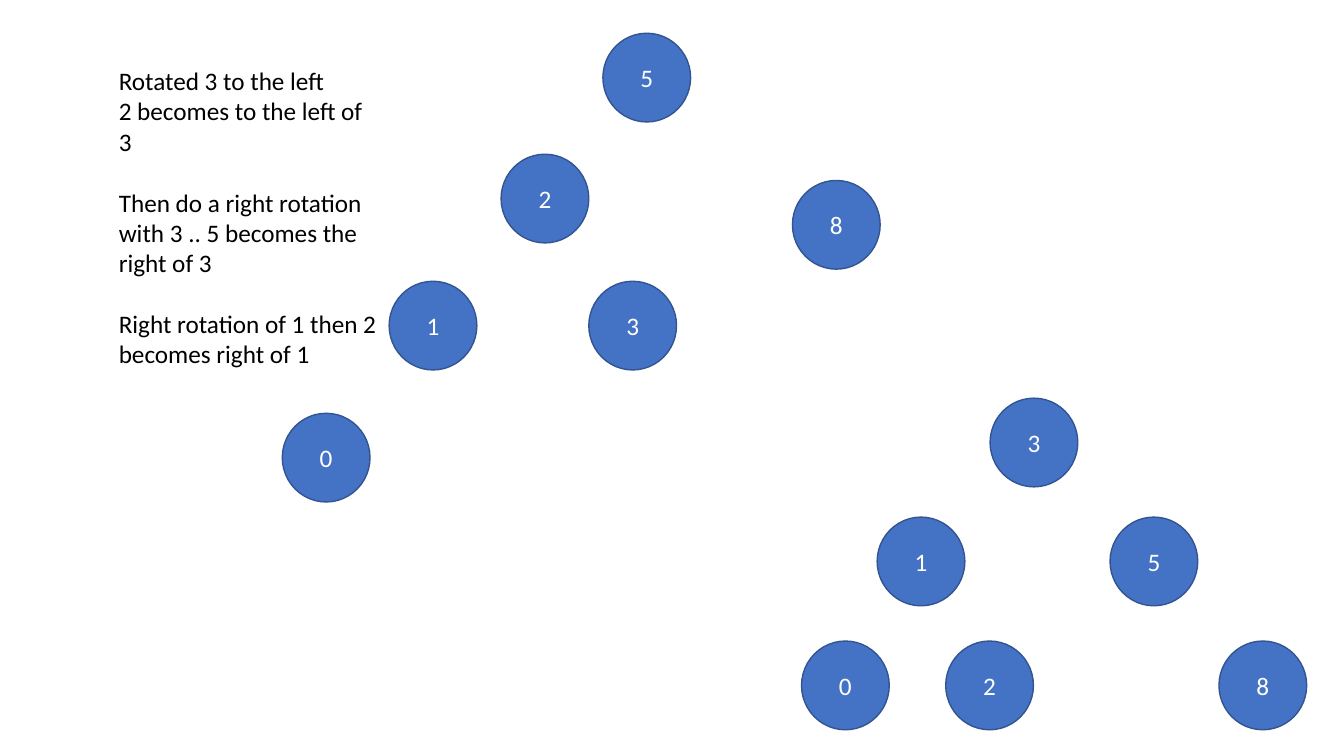
from pptx import Presentation
from pptx import util as u
from pptx.dml.color import RGBColor
from pptx.enum import shapes, text

BEFORE = [("5", 5.98, 0.33), ("2", 4.97, 1.53), ("8", 7.86, 1.79),
          ("1", 3.86, 2.79), ("3", 5.84, 2.79), ("0", 2.8, 4.1)]
AFTER = [("3", 9.82, 3.95), ("1", 8.7, 5.13), ("5", 11.01, 5.13),
         ("0", 7.95, 6.36), ("2", 9.38, 6.36), ("8", 12.09, 6.36)]
STEPS = [
    ["Rotated 3 to the left", "2 becomes to the left of 3"],
    ["Then do a right rotation with 3 .. 5 becomes the right of 3 "],
    ["Right rotation of 1 then 2 becomes right of 1"],
]
FONT = {"name": "Calibri", "size": u.Pt(18)}
NODE = (0.87, 0.88)
GAP = u.Pt(22)


def tint(part, code):
    part.rgb = RGBColor.from_string(code)


def style(font, code):
    for key, val in FONT.items():
        setattr(font, key, val)
    tint(font.color, code)


def node(label, left, top):
    disc = slide.shapes.add_shape(
        shapes.MSO_SHAPE.OVAL, *map(u.Inches, (left, top, *NODE)))
    disc.shadow.inherit = False
    disc.fill.solid()
    tint(disc.fill.fore_color, "4472C4")
    tint(disc.line.color, "325491")
    disc.line.width = u.Pt(1)
    frame = disc.text_frame
    frame.vertical_anchor = text.MSO_ANCHOR.MIDDLE
    para = frame.paragraphs[0]
    para.alignment = text.PP_ALIGN.CENTER
    run = para.add_run()
    run.text = label
    style(run.font, "FFFFFF")


def notes(left, top, width, height):
    box = slide.shapes.add_textbox(*map(u.Inches, (left, top, width, height)))
    frame = box.text_frame
    frame.word_wrap = True
    frame.auto_size = text.MSO_AUTO_SIZE.SHAPE_TO_FIT_TEXT
    for i, step in enumerate(STEPS):
        for j, line in enumerate(step):
            first = i == j == 0
            para = frame.paragraphs[0] if first else frame.add_paragraph()
            para.space_before = GAP if i and j == 0 else u.Pt(0)
            run = para.add_run()
            run.text = line
            style(run.font, "000000")


deck = Presentation()
deck.slide_width, deck.slide_height = u.Inches(13.33), u.Inches(7.5)
slide = deck.slides.add_slide(deck.slide_layouts[6])
notes(1.08, 0.6, 2.77, 3.13)
for item in BEFORE + AFTER:
    node(*item)
deck.save("out.pptx")
